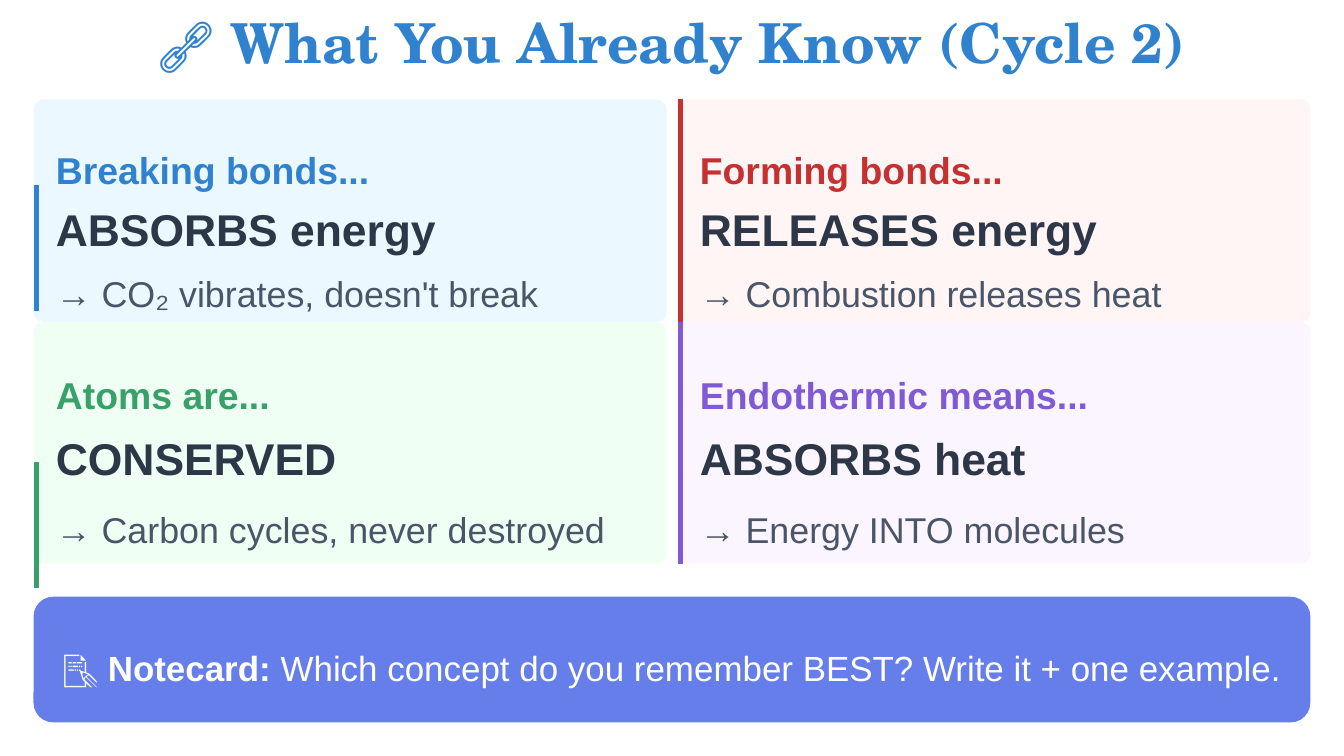
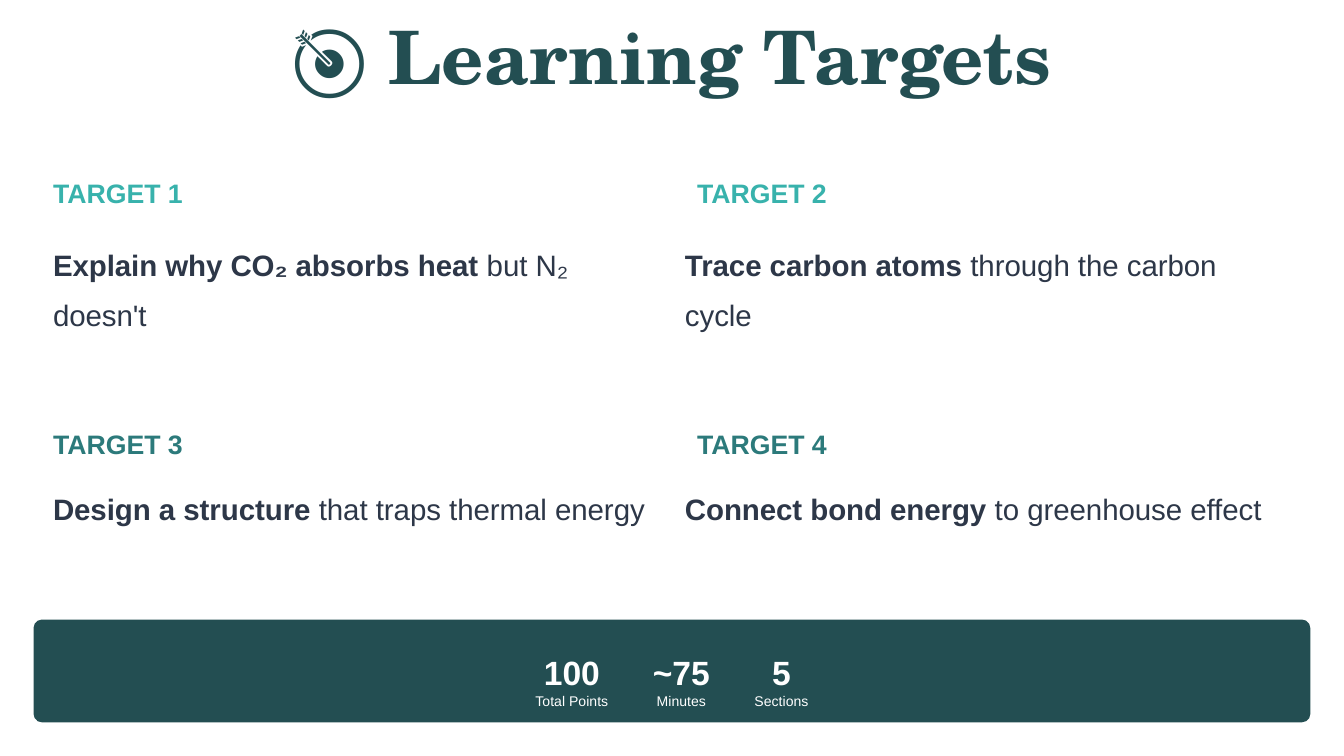
from dataclasses import dataclass, field
from itertools import product
from typing import NamedTuple

from lxml.etree import SubElement
from pptx import Presentation
from pptx.dml.color import RGBColor as Color
from pptx.enum.shapes import MSO_CONNECTOR as Connector, MSO_SHAPE as Shape
from pptx.enum.text import MSO_ANCHOR as Anchor, PP_ALIGN as Align
from pptx.oxml.ns import qn
from pptx.slide import Slide
from pptx.util import Inches, Pt

SLIDE_WIDTH = Inches(10)
SLIDE_HEIGHT = SLIDE_WIDTH * 9 // 16
CELL = SLIDE_WIDTH // 100  # all lengths below count cells of a 100-column grid

MARGIN = 2.5
CARD_WIDTH = 47.1
COLUMN_PITCH = 47.92
FULL_WIDTH = 95
BAND_BOTTOM = 53.75


@dataclass(frozen=True)
class Theme:
    title_font: str = "TeX Gyre Schola"
    body_font: str = "Arial"
    line_spacing: float = 1.4
    accent_width: float = 3
    blue: str = "3182CE"
    red: str = "C53030"
    green: str = "38A169"
    purple: str = "805AD5"
    ink: str = "2D3748"
    slate: str = "4A5568"
    white: str = "FFFFFF"
    indigo: str = "667EEA"
    pine: str = "234E52"
    teal: str = "38B2AC"
    deep_teal: str = "2C7A7B"
    blue_tint: str = "EBF8FF"
    red_tint: str = "FFF5F5"
    green_tint: str = "F0FFF4"
    purple_tint: str = "FAF5FF"
    sizes: dict[str, float] = field(default_factory=lambda: {
        "recap title": 29.5, "targets title": 39.5,
        "prompt": 20, "answer": 23.8, "example": 19.2, "notecard": 18.75,
        "target label": 14.25, "target": 15.75, "stat": 18, "stat label": 7.5,
    })


THEME = Theme()


class Box(NamedTuple):
    left: float
    top: float
    width: float
    height: float


class Run(NamedTuple):
    text: str
    bold: bool = False


class CardRow(NamedTuple):
    top: float
    height: float
    text_spans: tuple[tuple[float, float], ...]
    left_accent: tuple[float, float]


class Card(NamedTuple):
    lines: tuple[str, str, str]
    accent: str
    tint: str


class TargetRow(NamedTuple):
    card_top: float
    text_top: float
    text_height: float
    accent: str


class Stat(NamedTuple):
    value: str
    label: str
    left: float
    width: float


CARD_ROWS = (
    CardRow(7.4, 16.55, ((9.6, 3.1), (13.45, 4.4), (18.95, 2.8)), (13.78, 23.12)),
    CardRow(23.95, 18, ((26.35, 3.4), (30.5, 4.8), (36.5, 3.1)), (34.4, 43.74)),
)
CARDS = (
    Card(("Breaking bonds...", "ABSORBS energy", "→ CO₂ vibrates, doesn't break"),
         THEME.blue, THEME.blue_tint),
    Card(("Forming bonds...", "RELEASES energy", "→ Combustion releases heat"),
         THEME.red, THEME.red_tint),
    Card(("Atoms are...", "CONSERVED", "→ Carbon cycles, never destroyed"),
         THEME.green, THEME.green_tint),
    Card(("Endothermic means...", "ABSORBS heat", "→ Energy INTO molecules"),
         THEME.purple, THEME.purple_tint),
)
TARGET_ROWS = (
    TargetRow(9.2, 17.36, 5.4, THEME.teal),
    TargetRow(27.9, 35.5, 7.8, THEME.deep_teal),
)
TARGET_TEXT_LEFTS = (3.95, 50.97)
TARGETS = (
    ("Explain why CO₂ absorbs heat", " but N₂ doesn't"),
    ("Trace carbon atoms", " through the carbon cycle"),
    ("Design a structure", " that traps thermal energy"),
    ("Connect bond energy", " to greenhouse effect"),
)
STATS = (
    Stat("100", "Total Points", 39.8, 5.5),
    Stat("~75", "Minutes", 48.55, 4.3),
    Stat("5", "Sections", 56.1, 4.1),
)


def cells(count: float) -> int:
    return round(count * CELL)


def column_left(column: int) -> float:
    return MARGIN + column * COLUMN_PITCH


def add_text(slide: Slide, box: Box, runs: list[Run], size: str, color: str,
             font: str = THEME.body_font, wrap: bool = True,
             frame_format: dict | None = None,
             paragraph_format: dict | None = None) -> None:
    """Add a one-paragraph text box; size is a key of the theme's type sizes."""
    frame = slide.shapes.add_textbox(*map(cells, box)).text_frame
    margins = dict.fromkeys(
        ("margin_left", "margin_top", "margin_right", "margin_bottom"), 0)
    apply_format(frame, margins | {"word_wrap": wrap} | (frame_format or {}))
    paragraph = frame.paragraphs[0]
    apply_format(paragraph, {"line_spacing": THEME.line_spacing}
                 | (paragraph_format or {}))
    for part in runs:
        run = paragraph.add_run()
        run.text = part.text
        apply_format(run.font, {"name": font, "size": Pt(THEME.sizes[size]),
                                "bold": part.bold})
        run.font.color.rgb = Color.from_string(color)


def apply_format(target: object, values: dict) -> None:
    for name, value in values.items():
        setattr(target, name, value)


def add_title(slide: Slide, box: Box, text: str, size: str, color: str) -> None:
    add_text(slide, box, [Run(text, True)], size, color, THEME.title_font,
             frame_format={"vertical_anchor": Anchor.MIDDLE},
             paragraph_format={"alignment": Align.CENTER, "line_spacing": 1.0})


def add_panel(slide: Slide, box: Box, fill: str, rounding: float) -> None:
    panel = slide.shapes.add_shape(Shape.ROUNDED_RECTANGLE, *map(cells, box))
    panel.adjustments[0] = rounding
    panel.shadow.inherit = False
    panel.fill.solid()
    panel.fill.fore_color.rgb = Color.from_string(fill)
    panel.line.fill.background()


def add_band(slide: Slide, top: float, fill: str, rounding: float) -> None:
    add_panel(slide, Box(MARGIN, top, FULL_WIDTH, BAND_BOTTOM - top), fill, rounding)


def add_accent(slide: Slide, left: float, top: float, bottom: float,
               color: str) -> None:
    accent = slide.shapes.add_connector(
        Connector.STRAIGHT, *map(cells, (left, top, left, bottom)))
    accent.line.color.rgb = Color.from_string(color)
    accent.line.width = Pt(THEME.accent_width)
    SubElement(accent._element.spPr, qn("a:effectLst"))


def add_card(slide: Slide, card: Card, row: CardRow, column: int) -> None:
    left = column_left(column)
    add_panel(slide, Box(left, row.top, CARD_WIDTH, row.height), card.tint, 0.044)
    top, bottom = (row.top, row.top + row.height) if column else row.left_accent
    add_accent(slide, left + 0.22, top, bottom, card.accent)
    styles = (("prompt", card.accent, True), ("answer", THEME.ink, True),
              ("example", THEME.slate, False))
    for text, span, (size, color, bold) in zip(card.lines, row.text_spans, styles):
        add_text(slide, Box(left + 1.66, span[0], 45, span[1]),
                 [Run(text, bold)], size, color)


def build_recap(slide: Slide) -> None:
    add_title(slide, Box(2.5, 0.3, 95, 5.6), "🔗 What You Already Know (Cycle 2)",
              "recap title", THEME.blue)
    for card, (row, column) in zip(CARDS, product(CARD_ROWS, range(2))):
        add_card(slide, card, row, column)
    add_band(slide, 44.4, THEME.indigo, 0.157)
    notecard = [
        Run("📝 Notecard:", True),
        Run(" Which concept do you remember BEST? Write it + one example."),
    ]
    add_text(slide, Box(2.6, 46.85, 94.8, 4.5), notecard, "notecard", THEME.white,
             paragraph_format={"alignment": Align.CENTER})


def build_targets(slide: Slide) -> None:
    add_title(slide, Box(3.75, 0.85, 92.5, 6.5), "🎯 Learning Targets",
              "targets title", THEME.pine)
    places = product(TARGET_ROWS, range(2))
    for number, ((skill, detail), (row, column)) in enumerate(
            zip(TARGETS, places), start=1):
        left = column_left(column)
        if number > 1:  # the first target sits directly on the background
            add_panel(slide, Box(left, row.card_top, CARD_WIDTH, 16.5),
                      THEME.white, 0.072)
        add_text(slide, Box(left + 1.45, row.card_top + 3, 45.5, 4.6),
                 [Run(f"TARGET {number}", True)], "target label", row.accent)
        add_text(slide, Box(TARGET_TEXT_LEFTS[column], row.text_top, 44.6,
                            row.text_height),
                 [Run(skill, True), Run(detail)], "target", THEME.ink)
    add_band(slide, 46.1, THEME.pine, 0.082)
    for stat in STATS:
        for run, size, top, height in (
                (Run(stat.value, True), "stat", 47.3, 3.5),
                (Run(stat.label), "stat label", 51, 1.5)):
            add_text(slide, Box(stat.left, top, stat.width, height), [run], size,
                     THEME.white, wrap=False,
                     paragraph_format={"alignment": Align.CENTER})


def main() -> None:
    presentation = Presentation()
    apply_format(presentation, {"slide_width": SLIDE_WIDTH,
                                "slide_height": SLIDE_HEIGHT})
    blank = presentation.slide_layouts[6]
    for build in (build_recap, build_targets):
        build(presentation.slides.add_slide(blank))
    presentation.save("out.pptx")


if __name__ == "__main__":
    main()
